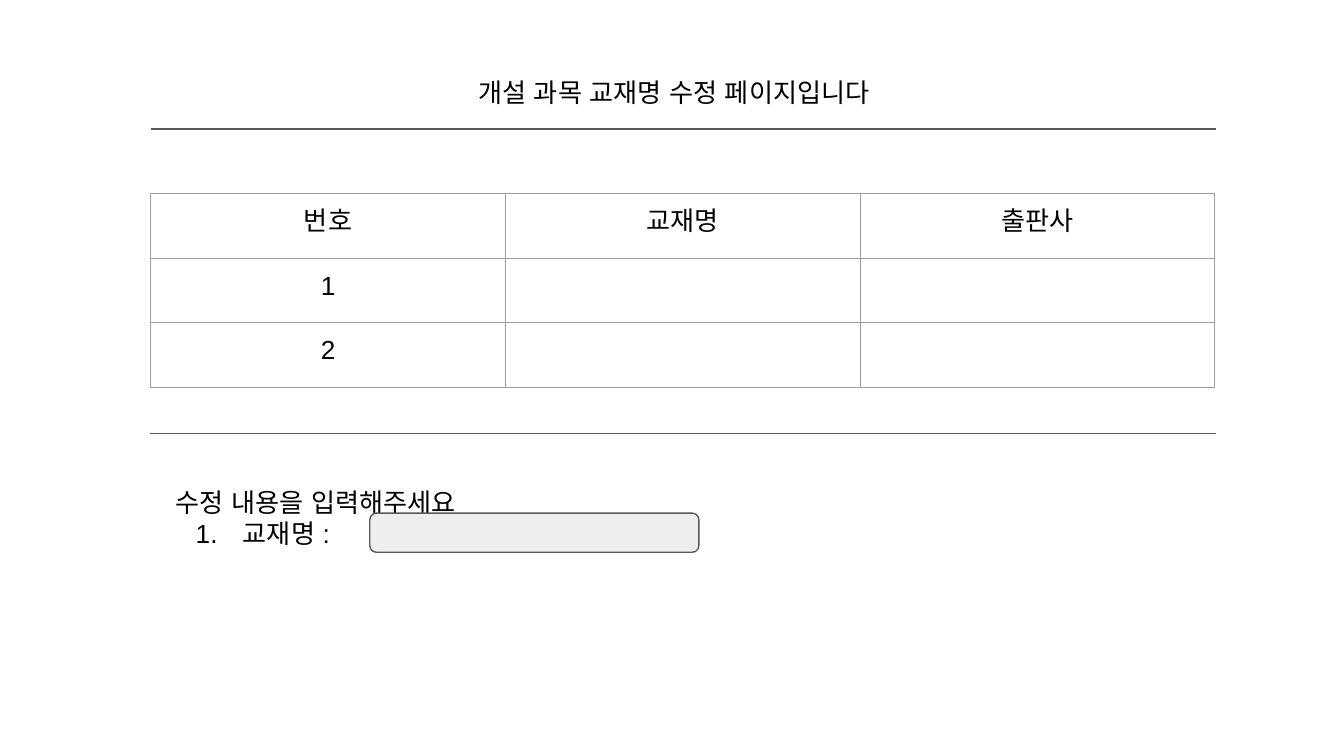
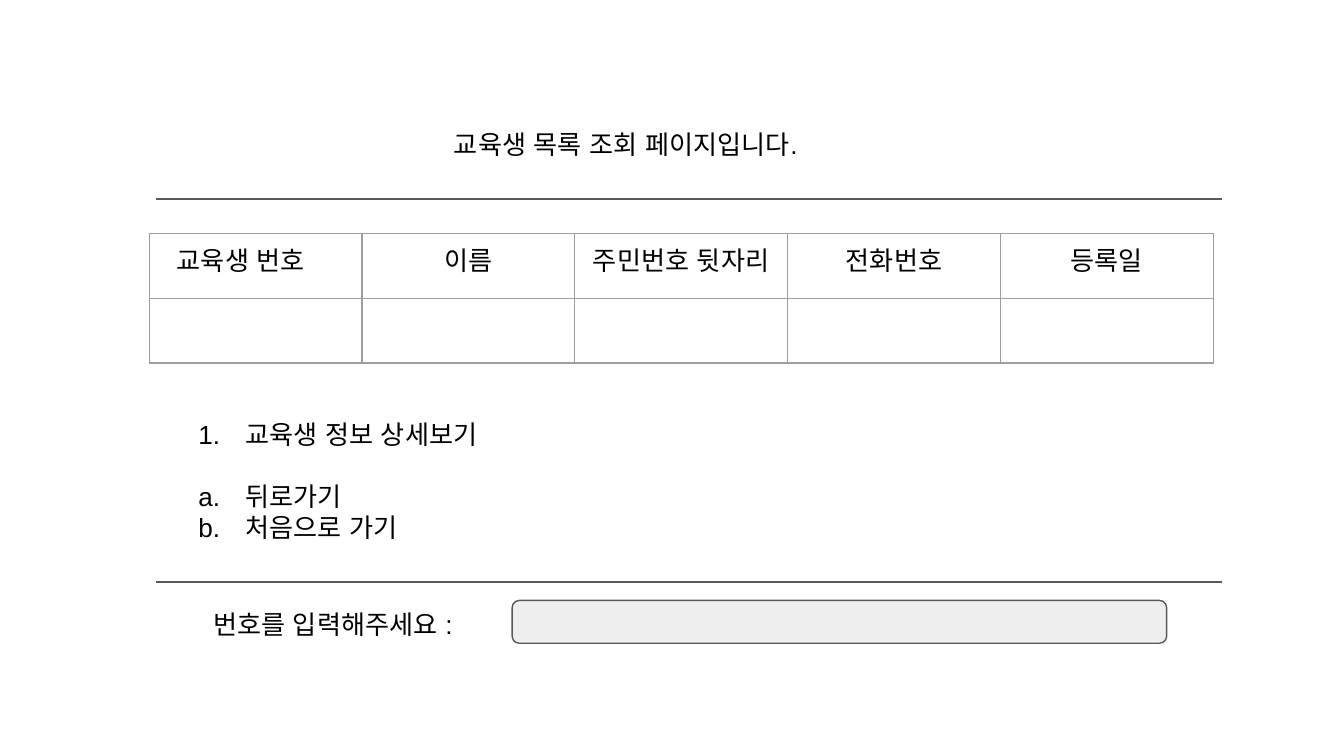
from lxml.etree import SubElement as Sub
from pptx import Presentation
from pptx.dml.color import RGBColor
from pptx.enum.shapes import MSO_CONNECTOR as Link, MSO_SHAPE as Shape
from pptx.enum.text import MSO_ANCHOR as Anchor, MSO_AUTO_SIZE as Fit, PP_ALIGN as Align
from pptx.oxml.ns import qn
from pptx.util import Cm, Pt

BLACK = RGBColor(0, 0, 0)
DARK = RGBColor(0x59, 0x59, 0x59)
GRID = RGBColor(0x9E, 0x9E, 0x9E)
PALE = RGBColor(0xEE, 0xEE, 0xEE)

FONT = "Arial"
SIZE = Pt(14)
THIN = Pt(0.75)
INSET = Cm(0.25)
WIDTH = 20.14  # length of the rules
SPAN = 20.11   # width of the tables
ROW = 1.22


class Page:
    def __init__(self, deck):
        self.deck = deck
        self.slide = None

    def start(self, title, left, top, width):
        """Add a slide and place its title."""
        self.slide = self.deck.slides.add_slide(self.deck.slide_layouts[5])
        box = self.slide.shapes.title
        box.left, box.top, box.width, box.height = Cm(left), Cm(top), Cm(width), Cm(1.78)
        self.set_text(box.text_frame, title)

    def style(self, para, align=Align.LEFT):
        para.alignment = align
        for run in para.runs:
            run.font.name, run.font.size = FONT, SIZE
            run.font.color.rgb = BLACK
            Sub(run.font._element, qn("a:ea"), typeface=FONT)

    def set_text(self, frame, text):
        frame.word_wrap = True
        frame.auto_size = Fit.NONE
        frame.vertical_anchor = Anchor.TOP
        frame.margin_left = frame.margin_right = INSET
        frame.margin_top = frame.margin_bottom = INSET
        frame.text = text
        for para in frame.paragraphs:
            self.style(para)

    def text(self, text, left, top, width, height):
        box = self.slide.shapes.add_textbox(Cm(left), Cm(top), Cm(width), Cm(height))
        self.set_text(box.text_frame, text)
        return box.text_frame.paragraphs

    def number(self, para, kind):
        """Give a paragraph an automatic number and a hanging indent."""
        props = para._p.get_or_add_pPr()
        props.set("marL", str(Cm(1.27)))
        props.set("indent", str(-Cm(0.89)))
        Sub(Sub(props, qn("a:buClr")), qn("a:srgbClr"), val=str(BLACK))
        Sub(props, qn("a:buFont"), typeface=FONT)
        Sub(props, qn("a:buAutoNum"), type=kind)

    def rule(self, left, top):
        line = self.slide.shapes.add_connector(
            Link.STRAIGHT, Cm(left), Cm(top), Cm(left + WIDTH), Cm(top))
        line.line.color.rgb, line.line.width = DARK, THIN
        Sub(line._element.spPr, qn("a:effectLst"))

    def field(self, left, top, width, height):
        """Add an input field."""
        box = self.slide.shapes.add_shape(
            Shape.ROUNDED_RECTANGLE, Cm(left), Cm(top), Cm(width), Cm(height))
        box.shadow.inherit = False
        box.fill.solid()
        box.fill.fore_color.rgb = PALE
        box.line.color.rgb, box.line.width = DARK, THIN

    def table(self, rows, left, top):
        count = len(rows[0])
        grid = self.slide.shapes.add_table(
            len(rows), count, Cm(left), Cm(top), Cm(SPAN), Cm(ROW * len(rows))).table
        grid.first_row = grid.horz_banding = False
        for col in grid.columns:
            col.width = Cm(SPAN / count)
        for y, row in enumerate(rows):
            grid.rows[y].height = Cm(ROW)
            for x, text in enumerate(row):
                self.cell(grid.cell(y, x), text)
        return grid

    def cell(self, cell, text):
        cell.margin_left = cell.margin_right = INSET
        cell.margin_top = cell.margin_bottom = INSET
        para = cell.text_frame.paragraphs[0]
        para.text = text
        self.style(para, Align.CENTER)
        if not text:
            Sub(para._p, qn("a:endParaRPr"), sz=str(int(SIZE.pt * 100)))
        props = cell._tc.get_or_add_tcPr()
        for side in "LRTB":
            edge = Sub(props, qn("a:ln" + side), w=str(THIN))
            Sub(Sub(edge, qn("a:solidFill")), qn("a:srgbClr"), val=str(GRID))
        cell.fill.background()


def edit(page):
    page.start("개설 과목 교재명 수정 페이지입니다", 8.79, 1.19, 10.41)
    page.rule(2.85, 2.44)
    page.table([["번호", "교재명", "출판사"], ["1", "", ""], ["2", "", ""]], 2.85, 3.66)
    page.rule(2.84, 8.2)
    head, item = page.text("수정 내용을 입력해주세요\n교재명 :", 3.07, 8.64, 11.99, 2.29)
    head.line_spacing = 1.5
    page.number(item, "arabicPeriod")
    page.field(6.99, 9.7, 6.22, 0.74)


def browse(page):
    page.start("교육생 목록 조회 페이지입니다.", 8.33, 2.18, 10.01)
    page.rule(2.95, 3.76)
    names = ["교육생 번호", "이름", "주민번호 뒷자리", "전화번호", "등록일"]
    first = page.table([names, [""] * len(names)], 2.82, 4.42).cell(0, 0)
    first.margin_left = Cm(0.52)
    first.text_frame.paragraphs[0].alignment = Align.LEFT
    items = page.text("교육생 정보 상세보기\n뒤로가기\n처음으로 가기", 3.12, 7.65, 9.07, 1.57)
    items[1].space_before = Pt(16.5)
    for item, kind in zip(items, ["arabicPeriod", "alphaLcPeriod", "alphaLcPeriod"]):
        page.number(item, kind)
    page.rule(2.95, 11)
    page.text("번호를 입력해주세요 :", 3.78, 11.25, 5.56, 1.02)
    page.field(9.68, 11.35, 12.37, 0.81)


def main():
    deck = Presentation()
    deck.slide_width, deck.slide_height = Cm(25.4), Cm(14.29)
    page = Page(deck)
    edit(page)
    browse(page)
    deck.save("out.pptx")


if __name__ == "__main__":
    main()
